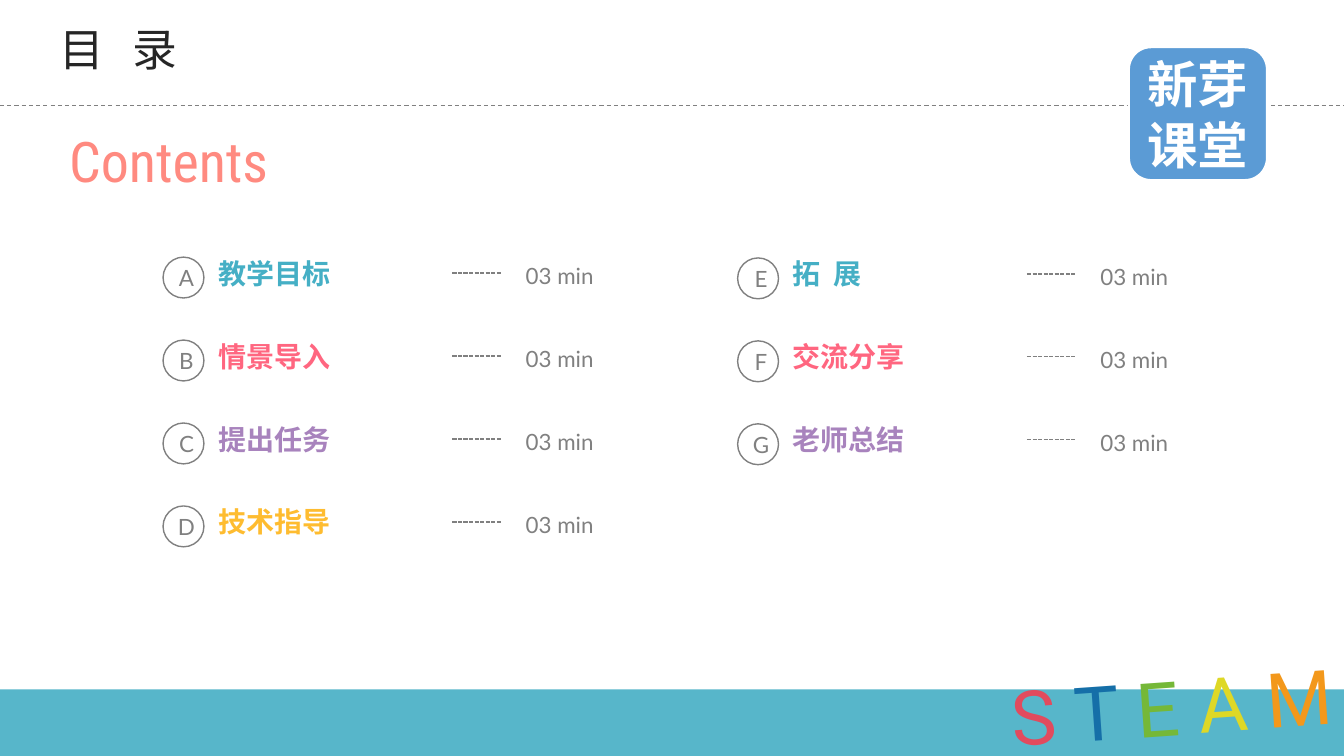
"""Build the contents slide of a STEAM lesson."""
from lxml import etree
from pptx import Presentation
from pptx import util as u
from pptx.dml.color import RGBColor
from pptx.enum import dml, shapes, text
from pptx.oxml import ns

COLORS = {
    "teal": "45AFC5", "pink": "FF6680", "purple": "A883BD", "amber": "FEBC30",
    "grey": "808080", "coral": "FF8A80", "ink": "262626", "white": "FFFFFF",
    "badge": "5B9BD5", "S": "E14B5E", "T": "156FA8", "E": "75B838",
    "A": "DED826", "M": "F3981B",
}


def write(para, words, size, font, color, bold=False, spacing=0, align=text.PP_ALIGN.LEFT):
    para.alignment = align
    span = para.add_run()
    span.text = words
    span.font.size = u.Pt(size)
    span.font.bold = bold
    span.font.color.rgb = RGBColor.from_string(COLORS[color])
    span.font.name = font
    props = span.font._element
    etree.SubElement(props, ns.qn("a:ea")).set("typeface", font)
    if spacing:
        props.set("spc", str(int(spacing * 100)))


def dashed_line(parent, left, right, top, width, dash):
    line = parent.add_connector(
        shapes.MSO_CONNECTOR.STRAIGHT, u.Cm(left), u.Cm(top), u.Cm(right), u.Cm(top))
    line.line.color.rgb = RGBColor.from_string(COLORS["grey"])
    line.line.width = u.Pt(width)
    line.line.dash_style = dash
    etree.SubElement(line._element.spPr, ns.qn("a:effectLst"))


CENTER = text.PP_ALIGN.CENTER
MIDDLE = text.MSO_ANCHOR.MIDDLE
SHAPE = shapes.MSO_SHAPE

deck = Presentation()
deck.slide_width, deck.slide_height = u.Cm(33.87), u.Cm(19.05)
page = deck.slides.add_slide(deck.slide_layouts[5])

band = page.shapes.add_shape(SHAPE.RECTANGLE, 0, u.Cm(17.37), deck.slide_width, u.Cm(1.68))
band.shadow.inherit = False
band.fill.solid()
band.fill.fore_color.rgb = RGBColor.from_string(COLORS["teal"])
band.line.fill.background()
tint = band._element.spPr.find(ns.qn("a:solidFill"))[0]
etree.SubElement(tint, ns.qn("a:alpha")).set("val", "90000")

dashed_line(page.shapes, 0, 33.87, 2.66, 0.75, dml.MSO_LINE.DASH)

heading = page.shapes.add_textbox(u.Cm(0.25), u.Cm(2.82), u.Cm(8), u.Cm(2.41)).text_frame
heading.word_wrap = True
heading.vertical_anchor = MIDDLE
write(heading.paragraphs[0], "Contents", 40, "Roboto Condensed", "coral", align=CENTER)

steam = page.shapes.add_textbox(u.Cm(25.22), u.Cm(16.46), u.Cm(9.96), u.Cm(2.57))
steam.rotation = 356
steam.text_frame.word_wrap = True
for letter in "STEAM":
    words = letter if letter == "M" else letter + " "
    write(steam.text_frame.paragraphs[0], words, 54, "Roboto", letter)

badge = page.shapes.add_shape(
    SHAPE.ROUNDED_RECTANGLE, u.Cm(28.45), u.Cm(1.19), u.Cm(3.48), u.Cm(3.35))
badge.shadow.inherit = False
badge.fill.solid()
badge.fill.fore_color.rgb = RGBColor.from_string(COLORS["badge"])
badge.line.color.rgb = RGBColor.from_string(COLORS["white"])
badge.line.width = u.Pt(1.5)
badge.text_frame.vertical_anchor = MIDDLE
write(badge.text_frame.paragraphs[0], "新芽课堂", 36, "Noto Sans CJK SC", "white",
      bold=True, align=CENTER)

title = page.shapes.title
title.left, title.top, title.width, title.height = u.Cm(1.24), u.Cm(0.48), u.Cm(25.63), u.Cm(1.65)
title.text_frame.vertical_anchor = MIDDLE
title.text_frame.paragraphs[0].line_spacing = 0.9
write(title.text_frame.paragraphs[0], "目 录", 32, "Noto Sans CJK SC", "ink", spacing=6.5)

columns = [
    (4.11, 6.48, [("A", "教学目标", "teal"), ("B", "情景导入", "pink"),
                  ("C", "提出任务", "purple"), ("D", "技术指导", "amber")]),
    (18.59, 6.5, [("E", "拓 展", "teal"), ("F", "交流分享", "pink"),
                  ("G", "老师总结", "purple")]),
]
for left, first_top, topics in columns:
    for row, (letter, topic, color) in enumerate(topics):
        top = first_top + row * 2.09
        entry = page.shapes.add_group_shape().shapes

        circle = entry.add_shape(SHAPE.OVAL, u.Cm(left), u.Cm(top), u.Cm(1.03), u.Cm(1.03))
        circle.shadow.inherit = False
        circle.fill.background()
        circle.line.color.rgb = RGBColor.from_string(COLORS["grey"])
        circle.line.width = u.Pt(1)
        frame = circle.text_frame
        frame.vertical_anchor = MIDDLE
        frame.margin_left, frame.margin_right = u.Cm(0.15), 0
        frame.margin_top = frame.margin_bottom = 0
        write(frame.paragraphs[0], letter, 16, "Lato", "grey", align=CENTER)

        label = entry.add_textbox(
            u.Cm(left + 1.14), u.Cm(top - 0.15), u.Cm(6.15), u.Cm(1.12)).text_frame
        label.word_wrap = True
        write(label.paragraphs[0], topic, 20, "Noto Sans CJK KR", color, bold=True,
              spacing=2.2 if " " in topic else 0)

        dashed_line(entry, left + 7.29, left + 8.51, top + 0.4, 1, dml.MSO_LINE.SQUARE_DOT)

        duration = entry.add_textbox(
            u.Cm(left + 8.79), u.Cm(top), u.Cm(2.41), u.Cm(0.94)).text_frame
        duration.word_wrap = True
        write(duration.paragraphs[0], "03 min", 16, "Lato", "grey", align=CENTER)

deck.save("out.pptx")
